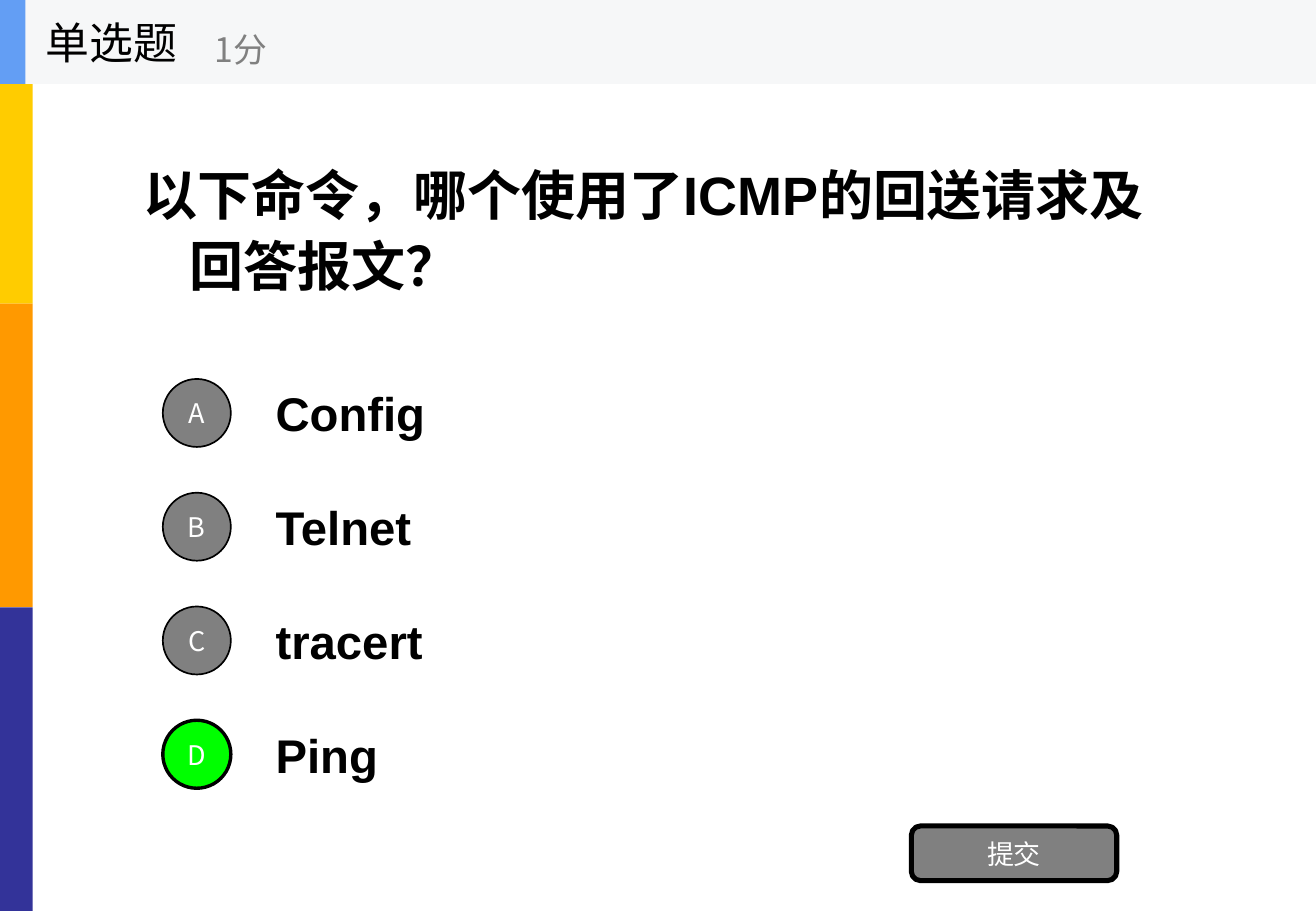
from pptx import Presentation
from pptx.dml.color import RGBColor
from pptx.enum.shapes import MSO_SHAPE as SHAPE
from pptx.enum.text import MSO_ANCHOR as ANCHOR, PP_ALIGN as ALIGN
from pptx.oxml.ns import qn
from pptx.util import Inches, Pt

WIDTH, HEIGHT = 10.83, 7.5
HEADER_H = 0.69
LATIN, CJK = "Arial", "Noto Sans CJK SC"

BLACK = RGBColor(0x00, 0x00, 0x00)
WHITE = RGBColor(0xFF, 0xFF, 0xFF)
GRAY = RGBColor(0x80, 0x80, 0x80)
GREEN = RGBColor(0x00, 0xFF, 0x00)
PALE = RGBColor(0xF6, 0xF7, 0xF8)
BLUE = RGBColor(0x63, 0x9E, 0xF4)
BAND_COLORS = [
    RGBColor(0xFF, 0xCC, 0x00),
    RGBColor(0xFF, 0x99, 0x00),
    RGBColor(0x33, 0x33, 0x99),
]

OPTIONS = [("A", "Config"), ("B", "Telnet"), ("C", "tracert"), ("D", "Ping")]
ANSWER = "D"


def write(s, text, size, color, font=CJK, bold=False, align=ALIGN.LEFT):
    """Put one vertically centred paragraph in a shape and return it."""
    tf = s.text_frame
    tf.text = text
    tf.word_wrap = True
    tf.vertical_anchor = ANCHOR.MIDDLE
    p = tf.paragraphs[0]
    p.alignment = align
    f = p.runs[0].font
    f.name, f.size, f.bold = font, Pt(size), bold
    f.color.rgb = color
    ea = f._element.makeelement(qn("a:ea"), {"typeface": CJK})
    f._element.find(qn("a:latin")).addnext(ea)
    return p


def add_text(slide, x, y, w, h, text, size, color, **style):
    box = slide.shapes.add_textbox(Inches(x), Inches(y), Inches(w), Inches(h))
    return write(box, text, size, color, **style)


def add_filled(slide, kind, x, y, w, h, fill, line_width=0):
    s = slide.shapes.add_shape(kind, Inches(x), Inches(y), Inches(w), Inches(h))
    s.shadow.inherit = False
    s.fill.solid()
    s.fill.fore_color.rgb = fill
    if line_width:
        s.line.color.rgb = BLACK
        s.line.width = Pt(line_width)
    else:
        s.line.fill.background()
    return s


def add_button(slide, kind, x, y, w, h, label, fill, line_width):
    s = add_filled(slide, kind, x, y, w, h, fill, line_width)
    tf = s.text_frame
    tf.margin_left = tf.margin_right = tf.margin_top = tf.margin_bottom = 0
    write(s, label, 16, WHITE, align=ALIGN.CENTER)


def add_side_bands(slide, x, y, w, h):
    band_h = h / len(BAND_COLORS)
    for i, color in enumerate(BAND_COLORS):
        add_filled(slide, SHAPE.RECTANGLE, x, y + i * band_h, w, band_h, color)


def add_question(slide, x, y, w, h):
    p = add_text(slide, x, y, w, h, "以下命令，哪个使用了ICMP的回送请求及回答报文？",
                 32, BLACK, font=LATIN, bold=True)
    p.line_spacing = 1.1
    p.space_before = Pt(6)
    pPr = p._p.get_or_add_pPr()
    pPr.set("marL", str(Inches(0.38)))
    pPr.set("indent", str(-Inches(0.38)))


def add_options(slide, x, y, w, h):
    """Stack the lettered options, with the answer highlighted."""
    circle, row_h, text_dx = 0.56, 0.7, 0.83
    pitch = (h - row_h) / (len(OPTIONS) - 1)
    for i, (letter, text) in enumerate(OPTIONS):
        top = y + i * pitch
        fill, line_width = (GREEN, 2) if letter == ANSWER else (GRAY, 1)
        add_text(slide, x + text_dx, top, w - text_dx, row_h, text,
                 28, BLACK, font=LATIN, bold=True)
        add_button(slide, SHAPE.OVAL, x, top + (row_h - circle) / 2,
                   circle, circle, letter, fill, line_width)


def add_header(slide, x, y, w, h):
    add_filled(slide, SHAPE.RECTANGLE, x, y, w, h, PALE)
    add_filled(slide, SHAPE.RECTANGLE, x, y, 0.21, h, BLUE)
    add_text(slide, x + 0.28, y, 2.08, h, "单选题", 26, BLACK)
    add_text(slide, x + 1.67, y + 0.12, 2.5, 0.56, "1分", 20, GRAY)


def main():
    prs = Presentation()
    prs.slide_width, prs.slide_height = Inches(WIDTH), Inches(HEIGHT)
    slide = prs.slides.add_slide(prs.slide_layouts[6])
    add_side_bands(slide, 0, 0, 0.27, HEIGHT)
    add_question(slide, 1.08, HEADER_H, 8.67, 2.34)
    add_options(slide, 1.34, 3.05, 8.41, 3.51)
    add_button(slide, SHAPE.ROUNDED_RECTANGLE, 7.5, 6.8, 1.69, 0.45, "提交", GRAY, 3)
    add_header(slide, 0, 0, WIDTH, HEADER_H)
    prs.save("out.pptx")


if __name__ == "__main__":
    main()
